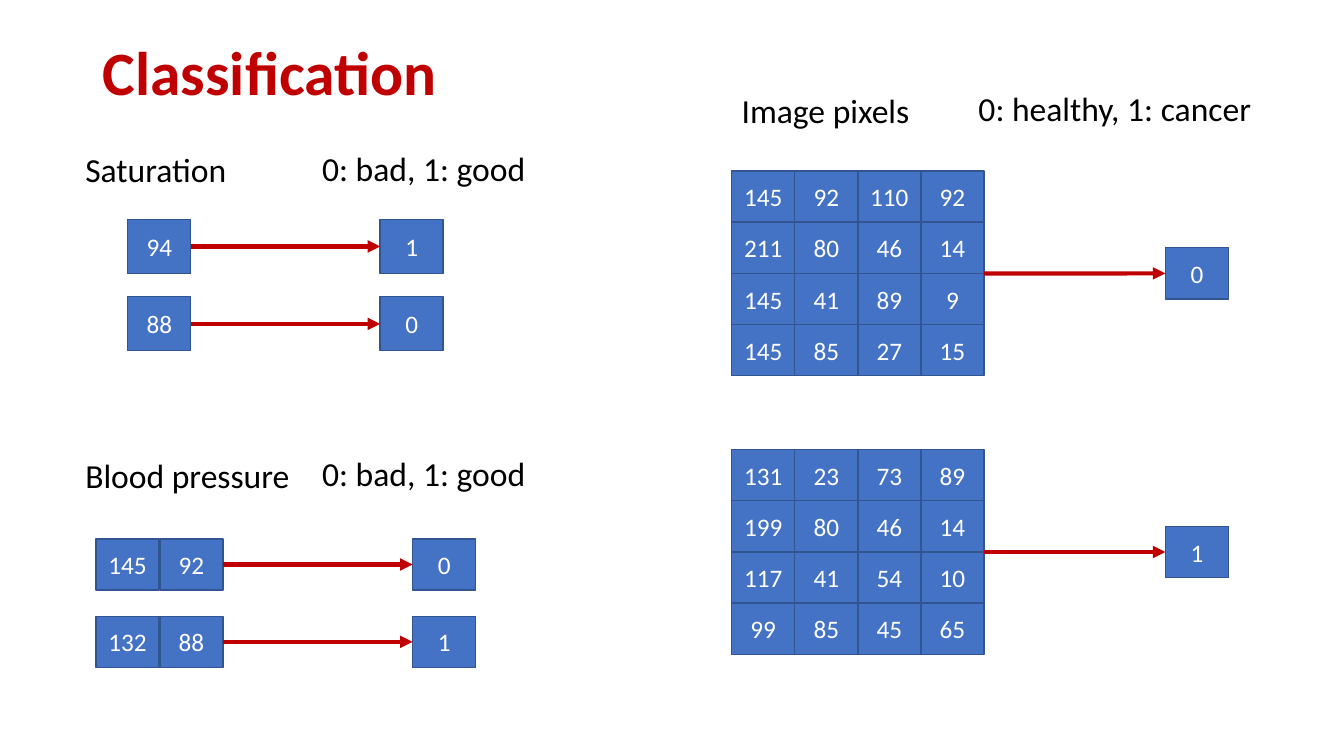
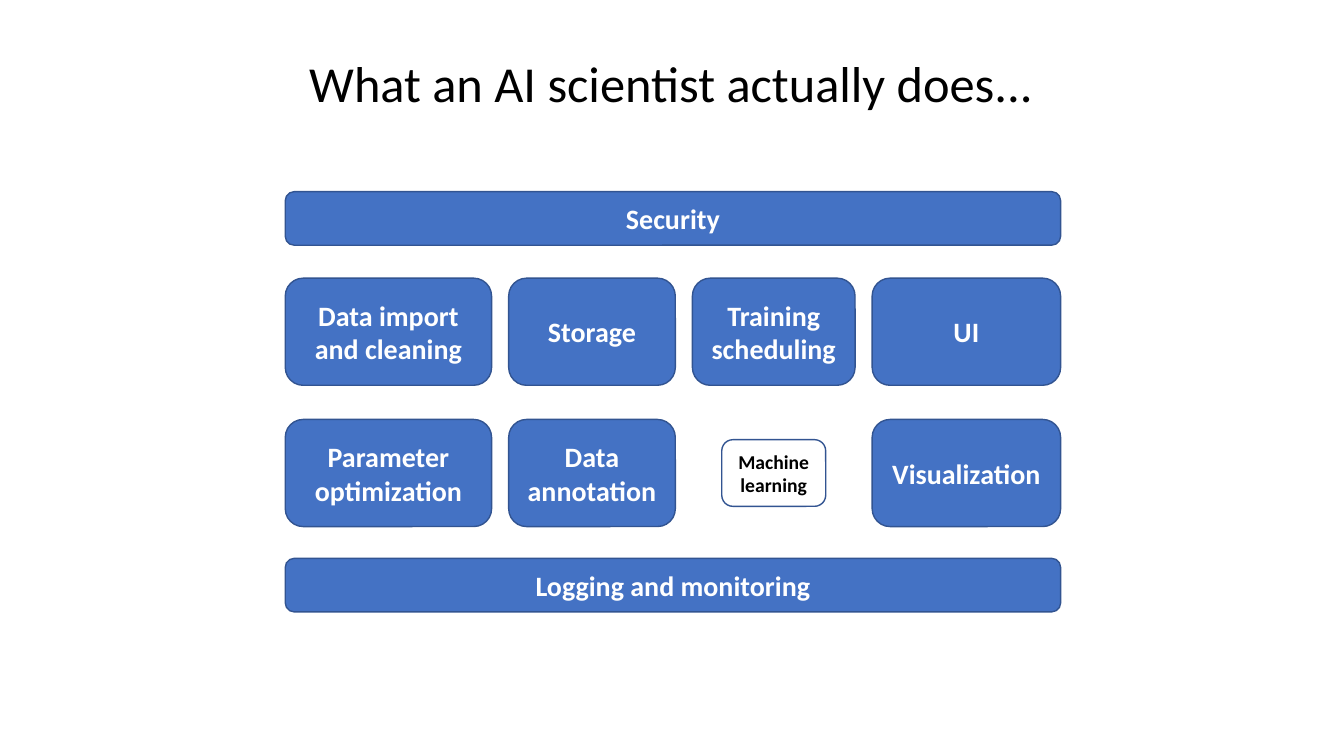
import lxml.etree
import pptx
import pptx.dml.color
import pptx.enum.shapes
import pptx.enum.text
import pptx.oxml.ns
import pptx.util

RED = pptx.dml.color.RGBColor(0xC0, 0x00, 0x00)
BLUE = pptx.dml.color.RGBColor(0x44, 0x72, 0xC4)
EDGE = pptx.dml.color.RGBColor(0x32, 0x54, 0x91)
WHITE = pptx.dml.color.RGBColor(0xFF, 0xFF, 0xFF)
BLACK = pptx.dml.color.RGBColor(0x00, 0x00, 0x00)

FONT = "Calibri"
LEFT = pptx.enum.text.PP_ALIGN.LEFT
MID = pptx.enum.text.PP_ALIGN.CENTER
RECT = pptx.enum.shapes.MSO_SHAPE.RECTANGLE
ROUND = pptx.enum.shapes.MSO_SHAPE.ROUNDED_RECTANGLE

CELL = 1.59
ROW = 1.29


def scale(*sizes):
    return [pptx.util.Cm(size) for size in sizes]


def write(frame, text, size=18, color=BLACK, bold=False, align=LEFT):
    line = frame.paragraphs[0]
    line.alignment = align
    run = line.add_run()
    run.text = text
    run.font.name = FONT
    run.font.size = pptx.util.Pt(size)
    run.font.bold = bold
    run.font.color.rgb = color
    return line


def add_page(deck, text, place, **style):
    page = deck.slides.add_slide(deck.slide_layouts[5])
    title = page.shapes.title
    title.left, title.top, title.width, title.height = scale(*place)
    frame = title.text_frame
    frame.auto_size = pptx.enum.text.MSO_AUTO_SIZE.NONE
    frame.vertical_anchor = pptx.enum.text.MSO_ANCHOR.MIDDLE
    write(frame, text, **style).line_spacing = 0.9
    return page


def add_label(page, text, left, top, width):
    label = page.shapes.add_textbox(*scale(left, top, width, 1.27))
    frame = label.text_frame
    frame.word_wrap = False
    frame.auto_size = pptx.enum.text.MSO_AUTO_SIZE.SHAPE_TO_FIT_TEXT
    write(frame, text, size=24)


def add_box(page, text, place, kind=RECT, fill=BLUE, color=WHITE, **style):
    box = page.shapes.add_shape(kind, *scale(*place))
    box.shadow.inherit = False
    if fill is None:
        box.fill.background()
    else:
        box.fill.solid()
        box.fill.fore_color.rgb = fill
    box.line.color.rgb = EDGE
    box.line.width = pptx.util.Pt(1)
    frame = box.text_frame
    frame.word_wrap = True
    frame.vertical_anchor = pptx.enum.text.MSO_ANCHOR.MIDDLE
    write(frame, text, color=color, align=MID, **style)
    return box


def add_arrow(page, start, goal, source=None):
    x, y = scale(*start)
    kind = pptx.enum.shapes.MSO_CONNECTOR.STRAIGHT
    arrow = page.shapes.add_connector(kind, x, y, goal.left, y)
    if source is not None:
        arrow.begin_connect(source, 3)
    arrow.end_connect(goal, 1)
    arrow.line.color.rgb = RED
    arrow.line.width = pptx.util.Pt(3)
    props = arrow._element.spPr
    name = pptx.oxml.ns.qn
    line = props.find(name("a:ln"))
    lxml.etree.SubElement(line, name("a:tailEnd"), type="triangle")
    lxml.etree.SubElement(props, name("a:effectLst"))


def add_case(page, rows, answer, left, top, goal_left, high=ROW, step=CELL):
    for i, row in enumerate(rows):
        for j, value in enumerate(row):
            place = (left + j * step, top + i * high, CELL, high)
            last = add_box(page, str(value), place)
    right = left + (len(rows[0]) - 1) * step + CELL
    middle = top + len(rows) * high / 2
    place = (goal_left, middle - high / 2, CELL, high)
    goal = add_box(page, str(answer), place)
    add_arrow(page, (right, middle), goal, last if len(rows) == 1 else None)


def build_cases(deck):
    page = add_page(deck, "Classification", (2.34, 0.69, 29.21, 2.44),
                    size=44, color=RED, bold=True)
    for text, left, top, width in (
        ("Saturation", 1.9, 3.63, 4.11),
        ("0: bad, 1: good", 7.87, 3.6, 5.66),
        ("Blood pressure", 1.9, 11.33, 5.72),
        ("0: bad, 1: good", 7.87, 11.3, 5.66),
        ("Image pixels", 18.44, 2.13, 4.78),
        ("0: healthy, 1: cancer", 24.41, 2.08, 7.44),
    ):
        add_label(page, text, left, top, width)

    for i, (value, answer) in enumerate(((94, 1), (88, 0))):
        add_case(page, [[value]], answer, 3.22, 5.53 + i * 1.95, 9.58,
                 high=1.36)
    for i, (pair, answer) in enumerate((((145, 92), 0), ((132, 88), 1))):
        add_case(page, [pair], answer, 2.42, 13.58 + i * 1.95, 10.4,
                 step=1.61)

    first = ((145, 92, 110, 92), (211, 80, 46, 14),
             (145, 41, 89, 9), (145, 85, 27, 15))
    second = ((131, 23, 73, 89), (199, 80, 46, 14),
              (117, 41, 54, 10), (99, 85, 45, 65))
    add_case(page, first, 0, 18.44, 4.31, 29.37)
    add_case(page, second, 1, 18.44, 11.33, 29.37)


def build_work(deck):
    page = add_page(deck, "What an AI scientist actually does...",
                    (5.97, 0.97, 21.89, 2.39), size=36, align=MID)
    left, gap, high = 7.19, 0.43, 2.7
    widths = (5.2, 4.2, 4.1, 4.75)
    whole = sum(widths) + gap * (len(widths) - 1)
    style = {"kind": ROUND, "size": 20, "bold": True}
    for text, top in (("Security", 4.83), ("Logging and monitoring", 14.07)):
        add_box(page, text, (left, top, whole, 1.35), **style)

    small = "Machine learning"
    rows = (
        (7.01, ("Data import and cleaning", "Storage",
                "Training scheduling", "UI")),
        (10.57, ("Parameter optimization", "Data annotation",
                 small, "Visualization")),
    )
    for top, texts in rows:
        x = left
        for text, width in zip(texts, widths):
            if text == small:
                w, h = 2.62, 1.68
                place = (x + (width - w) / 2, top + (high - h) / 2, w, h)
                add_box(page, text, place, kind=ROUND, fill=None,
                        color=BLACK, size=14, bold=True)
            else:
                add_box(page, text, (x, top, width, high), **style)
            x += width + gap


def main():
    deck = pptx.Presentation()
    deck.slide_width, deck.slide_height = scale(33.87, 19.05)
    build_cases(deck)
    build_work(deck)
    deck.save("out.pptx")


if __name__ == "__main__":
    main()
